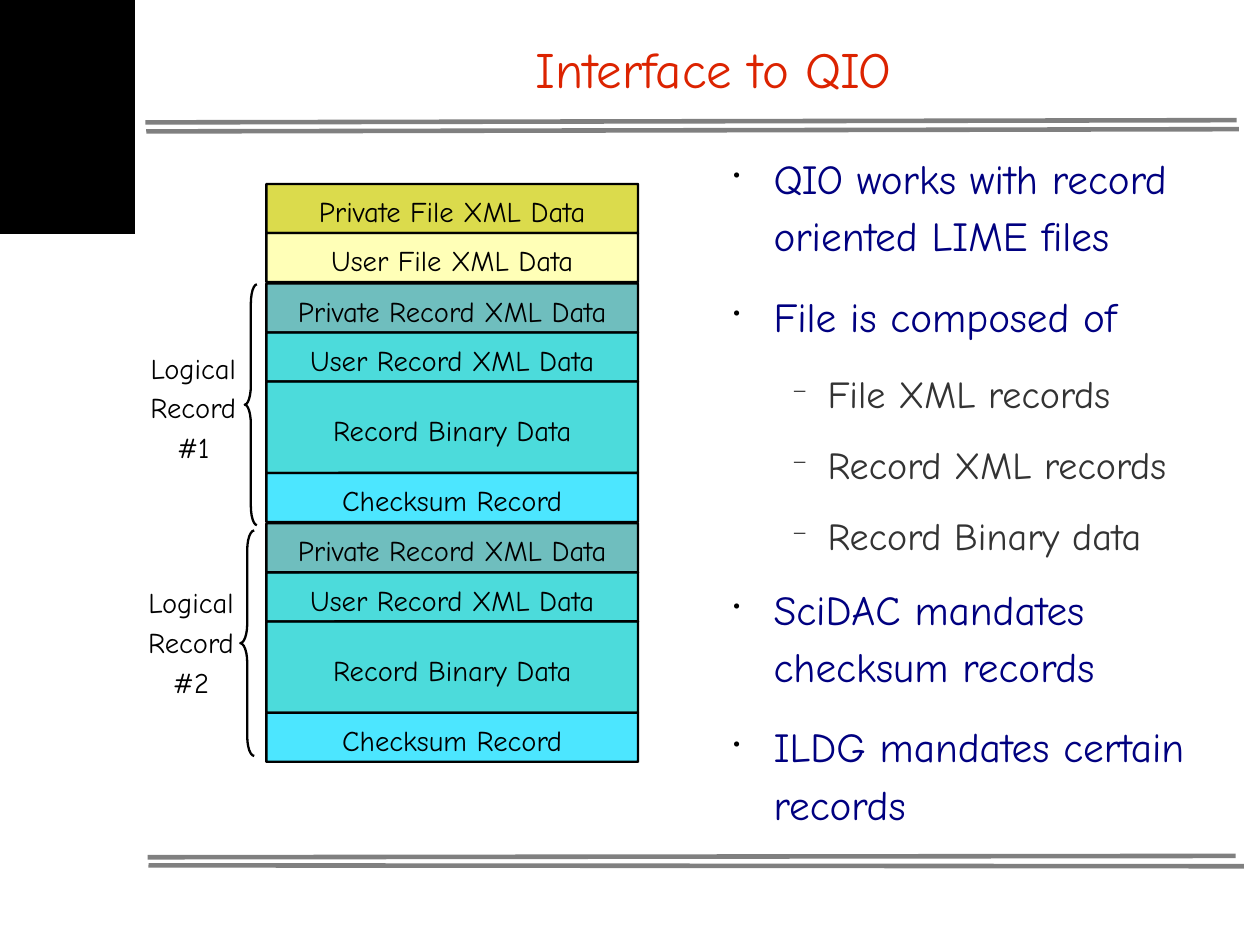
from dataclasses import dataclass
from lxml import etree
from pptx import Presentation
from pptx.dml.color import RGBColor as RGB
from pptx.enum.shapes import MSO_CONNECTOR as CONN, MSO_SHAPE as SHAPE
from pptx.enum.text import MSO_ANCHOR as ANCHOR, PP_ALIGN as ALIGN
from pptx.oxml.ns import qn
from pptx.util import Cm, Pt


@dataclass(frozen=True)
class Theme:
    font: str = "Comic Neue"
    ink: str = "000000"
    rule: str = "808080"
    title: str = "DC2300"
    point: str = "000080"
    subpoint: str = "333333"
    private_file: str = "CCCC00"
    user_file: str = "FFFF99"
    private_record: str = "33A3A3"
    user_record: str = "00CCCC"
    checksum: str = "00DCFF"
    opacity: int = 70
    title_size: int = 32
    point_size: int = 26
    subpoint_size: int = 24
    label_size: int = 18
    spacing: float = 1.16
    outline: float = 1.45
    rule_width: float = 2.89


T = Theme()

ROW, DATA_ROW, GAP = 1.09, 2.03, 0.03
STACK_LEFT, STACK_TOP, STACK_WIDTH = 5.92, 4.09, 8.26

FILE_ROWS = [
    ("Private File XML Data", T.private_file, ROW),
    ("User File XML Data", T.user_file, ROW),
]
RECORD_ROWS = [
    ("Private Record XML Data", T.private_record, ROW),
    ("User Record XML Data", T.user_record, ROW),
    ("Record Binary Data", T.user_record, DATA_ROW),
    ("Checksum Record", T.checksum, ROW),
]
RECORDS = [
    ("#1", (5.44, 6.32, 0.27, 5.35), (2.95, 7.54)),
    ("#2", (5.34, 11.79, 0.31, 5.01), (2.9, 12.75)),
]
RULES = [
    (3.23, 2.72, 27.48, 2.67),
    (3.25, 2.92, 27.53, 2.87),
    (3.28, 19.05, 27.46, 19.02),
    (3.3, 19.23, 27.64, 19.25),
]
POINTS = [
    (0, "QIO works with record oriented LIME files"),
    (0, "File is composed of"),
    (1, "File XML records"),
    (1, "Record XML records"),
    (1, "Record Binary data"),
    (0, "SciDAC mandates checksum records"),
    (0, "ILDG mandates certain records"),
]
LEVELS = [
    dict(char="•", scale=48, left=1.19, hang=0.89, after=14.3,
         size=T.point_size, color=T.point),
    dict(char="−", scale=52, left=2.39, hang=0.79, after=11.4,
         size=T.subpoint_size, color=T.subpoint),
]


def assign(obj, values):
    for name, value in values.items():
        setattr(obj, name, value)


def setup_frame(tf, anchor=ANCHOR.TOP, side=0, edge=0):
    assign(tf, dict(word_wrap=True, vertical_anchor=anchor,
                    margin_left=Cm(side), margin_right=Cm(side),
                    margin_top=Cm(edge), margin_bottom=Cm(edge)))


def write(p, text, size, color, align=ALIGN.LEFT, after=0):
    assign(p, dict(alignment=align, line_spacing=T.spacing, space_after=Pt(after)))
    r = p.add_run()
    r.text = text
    assign(r.font, dict(name=T.font, size=Pt(size)))
    r.font.color.rgb = RGB.from_string(color)


def paragraphs(tf, items):
    for i, item in enumerate(items):
        yield (tf.add_paragraph() if i else tf.paragraphs[0]), item


def add_text(s, box, **frame):
    tf = s.shapes.add_textbox(*map(Cm, box)).text_frame
    setup_frame(tf, **frame)
    return tf


def add_bullet(p, char, scale, left, hang):
    pPr = p._p.get_or_add_pPr()
    pPr.set("marL", str(Cm(left)))
    pPr.set("indent", str(-Cm(hang)))
    clr = etree.SubElement(pPr, qn("a:buClr"))
    etree.SubElement(clr, qn("a:srgbClr"), val=T.ink)
    etree.SubElement(pPr, qn("a:buSzPct"), val=str(scale * 1000))
    etree.SubElement(pPr, qn("a:buChar"), char=char)


def add_rule(s, ends):
    sp = s.shapes.add_connector(CONN.STRAIGHT, *map(Cm, ends))
    sp.line.color.rgb = RGB.from_string(T.rule)
    sp.line.width = Pt(T.rule_width)
    etree.SubElement(sp._element.spPr, qn("a:effectLst"))


def add_shape(shapes, kind, box, fill=None, line=None):
    sp = shapes.add_shape(kind, *map(Cm, box))
    sp.shadow.inherit = False
    if fill:
        sp.fill.solid()
        sp.fill.fore_color.rgb = RGB.from_string(fill)
    else:
        sp.fill.background()
    if line:
        sp.line.color.rgb = RGB.from_string(line)
        sp.line.width = Pt(T.outline)
    else:
        sp.line.fill.background()
    return sp


def add_stack(s, top, rows):
    shapes = s.shapes.add_group_shape().shapes
    for text, color, height in rows:
        sp = add_shape(shapes, SHAPE.ROUNDED_RECTANGLE,
                       (STACK_LEFT, top, STACK_WIDTH, height), color, T.ink)
        sp.adjustments[0] = 0.004
        clr = sp._element.spPr.find(qn("a:solidFill"))[0]
        etree.SubElement(clr, qn("a:alpha"), val=str(T.opacity * 1000))
        setup_frame(sp.text_frame, ANCHOR.MIDDLE, 0.28, 0.15)
        write(sp.text_frame.paragraphs[0], text, T.label_size, T.ink, ALIGN.CENTER)
        top += height
    return top + GAP


def add_record_label(s, number, brace, corner):
    sp = add_shape(s.shapes, SHAPE.LEFT_BRACE, brace, line=T.ink)
    sp.adjustments[0] = 0.43 / brace[2]
    tf = add_text(s, (*corner, 2.69, 2.9), side=0.25, edge=0.13)
    for p, text in paragraphs(tf, ["Logical", "Record", number]):
        write(p, text, T.label_size, T.ink, ALIGN.CENTER)


def add_points(s, box):
    for p, (level, text) in paragraphs(add_text(s, box), POINTS):
        f = LEVELS[level]
        p.level = level
        add_bullet(p, f["char"], f["scale"], f["left"], f["hang"])
        write(p, text, f["size"], f["color"], after=f["after"])


def main():
    prs = Presentation()
    assign(prs, dict(slide_width=Cm(28), slide_height=Cm(21)))
    s = prs.slides.add_slide(prs.slide_layouts[6])
    for ends in RULES:
        add_rule(s, ends)
    add_shape(s.shapes, SHAPE.RECTANGLE, (0, 0, 3, 5.2), T.ink)
    title = add_text(s, (3.99, 0.28, 23.75, 2.24), anchor=ANCHOR.MIDDLE)
    write(title.paragraphs[0], "Interface to QIO", T.title_size, T.title, ALIGN.CENTER)
    add_points(s, (16, 3.23, 11.58, 15.39))
    top = add_stack(s, STACK_TOP, FILE_ROWS)
    for record in RECORDS:
        top = add_stack(s, top, RECORD_ROWS)
        add_record_label(s, *record)
    prs.save("out.pptx")


if __name__ == "__main__":
    main()
